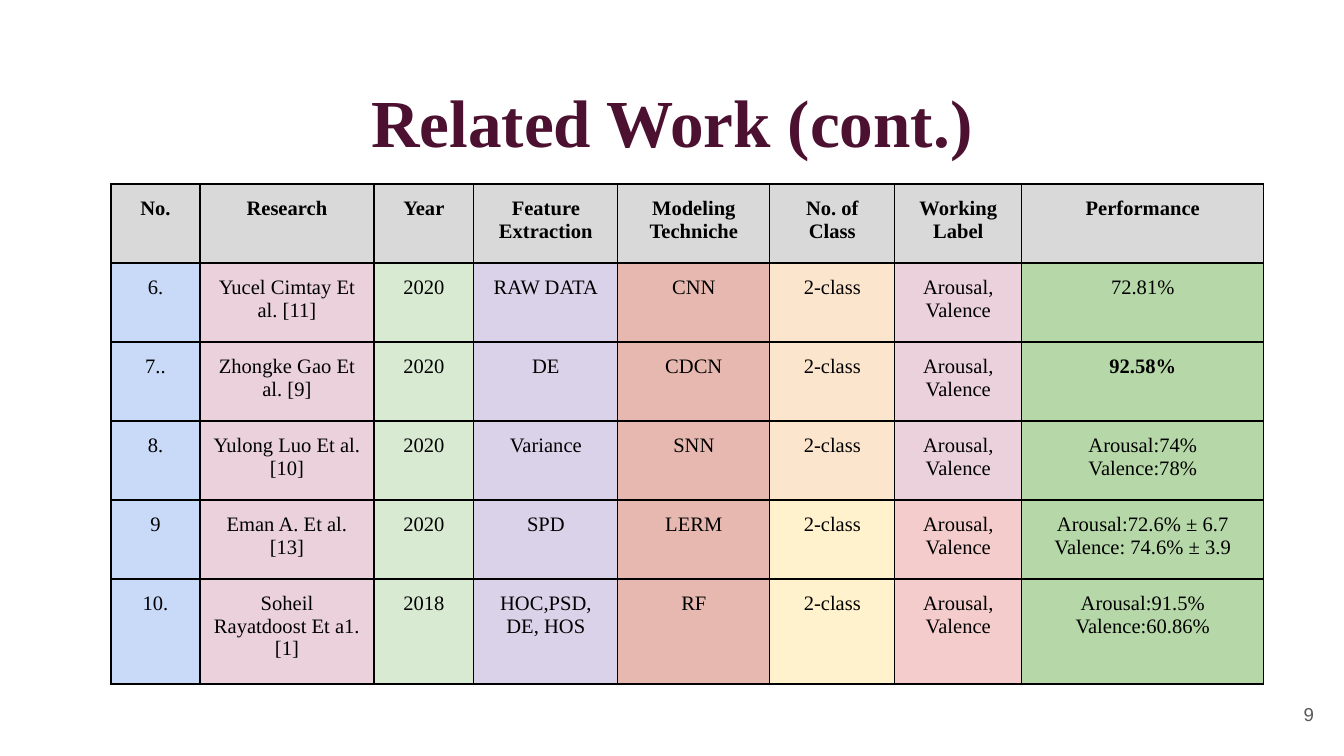
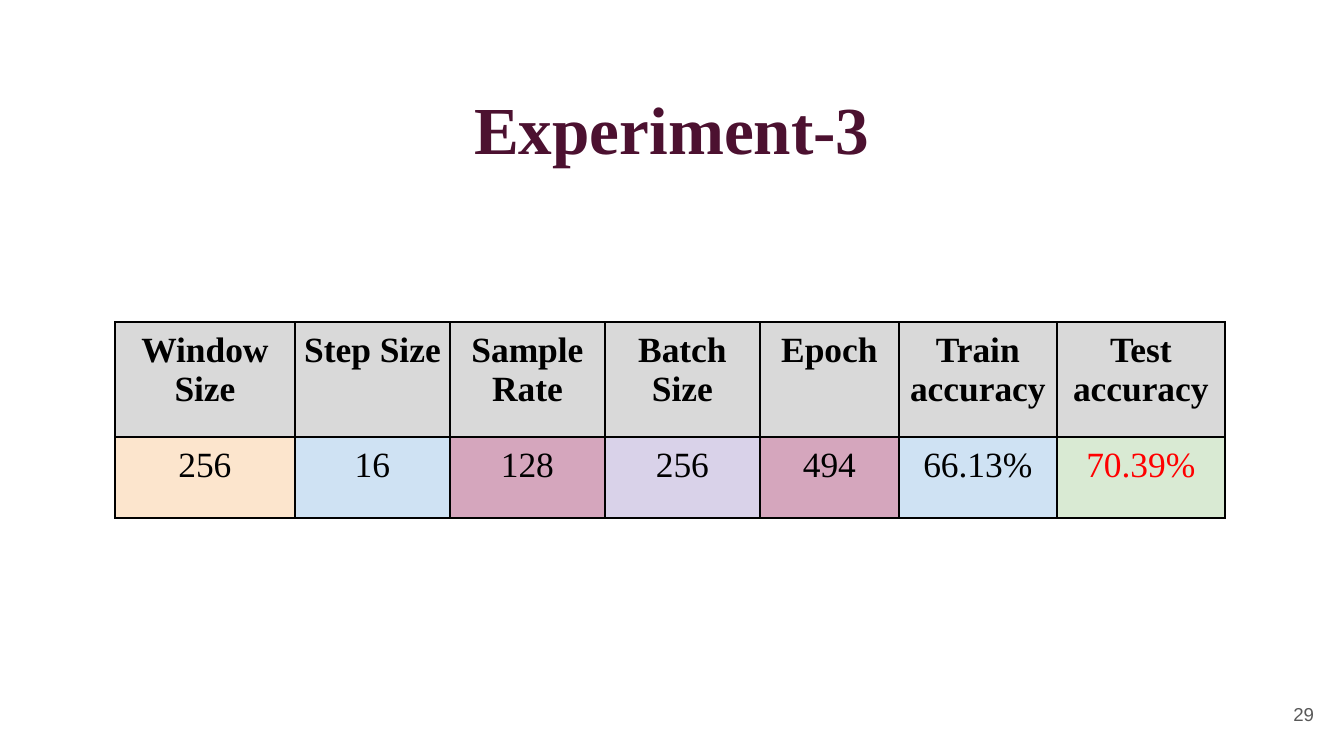
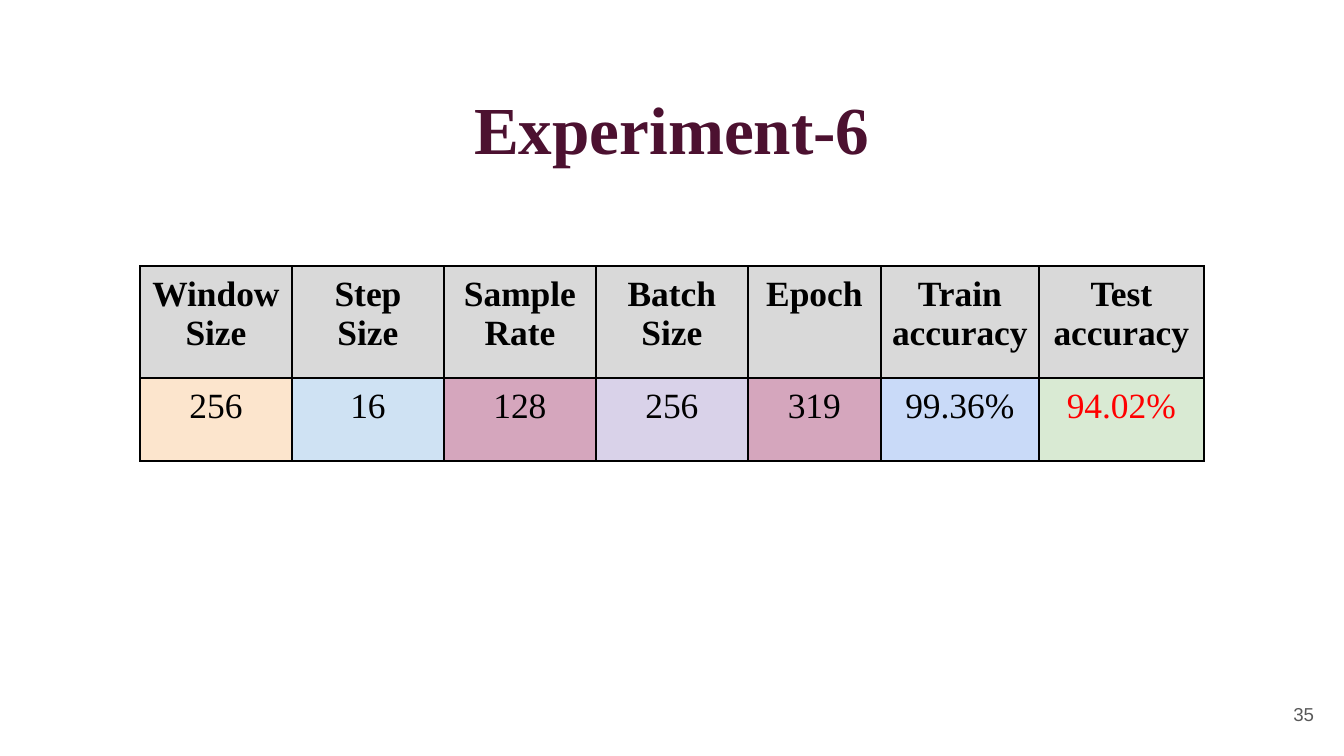
from lxml.etree import SubElement
from pptx import Presentation
from pptx.dml.color import RGBColor
from pptx.enum.text import MSO_ANCHOR as Anchor, MSO_AUTO_SIZE as AutoSize, PP_ALIGN as Align
from pptx.oxml.ns import qn
from pptx.util import Emu, Pt

SLIDE_W, SLIDE_H = 1344, 756
SCALE = 9144000 / SLIDE_W

SERIF, SANS = "Times New Roman", "Arial"
PLUM = RGBColor(0x4C, 0x11, 0x30)
SLATE = RGBColor(0x59, 0x59, 0x59)
BLACK = RGBColor(0x00, 0x00, 0x00)
RED = RGBColor(0xFF, 0x00, 0x00)
GREY = RGBColor(0xD9, 0xD9, 0xD9)
BLUE = RGBColor(0xC9, 0xDA, 0xF8)
SKY = RGBColor(0xCF, 0xE2, 0xF3)
PINK = RGBColor(0xEA, 0xD1, 0xDC)
ROSE = RGBColor(0xF4, 0xCC, 0xCC)
MAUVE = RGBColor(0xD5, 0xA6, 0xBD)
MINT = RGBColor(0xD9, 0xEA, 0xD3)
GREEN = RGBColor(0xB6, 0xD7, 0xA8)
LILAC = RGBColor(0xD9, 0xD2, 0xE9)
CLAY = RGBColor(0xE6, 0xB8, 0xAF)
PEACH = RGBColor(0xFC, 0xE5, 0xCD)
CREAM = RGBColor(0xFF, 0xF2, 0xCC)


def px(length):
    return Emu(round(length * SCALE))


def set_margins(target, side, top=None):
    target.margin_left = target.margin_right = target.margin_bottom = px(side)
    target.margin_top = px(side if top is None else top)


def format_text(frame, size, color, font=SERIF, bold=False, align=Align.CENTER):
    for paragraph in frame.paragraphs:
        paragraph.alignment = align
        for run in paragraph.runs:
            run.font.name = font
            run.font.size = Pt(size)
            run.font.bold = bold
            run.font.color.rgb = color


def add_borders(cell, width):
    properties = cell._tc.get_or_add_tcPr()
    for side in ("a:lnL", "a:lnR", "a:lnT", "a:lnB"):
        line = SubElement(properties, qn(side), w=str(Pt(width)))
        fill = SubElement(line, qn("a:solidFill"))
        SubElement(fill, qn("a:srgbClr"), val=str(BLACK))


class Deck:
    def __init__(self):
        self.prs = Presentation()
        self.prs.slide_width, self.prs.slide_height = px(SLIDE_W), px(SLIDE_H)
        self.slide = None

    def new_slide(self, title, number, title_top=66):
        self.slide = self.prs.slides.add_slide(self.prs.slide_layouts[5])
        self.page_number(number)
        return self.title(title, title_top)

    def title(self, text, top):
        heading = self.slide.shapes.title
        heading.left, heading.top, heading.width, heading.height = map(px, (46, top, 1252, 85))
        frame = heading.text_frame
        frame.text = text
        frame.word_wrap = True
        frame.auto_size = AutoSize.NONE
        frame.vertical_anchor = Anchor.TOP
        set_margins(frame, 13, top=21)
        format_text(frame, 36, PLUM, bold=True)
        return frame.paragraphs[0]

    def page_number(self, number):
        frame = self.slide.shapes.add_textbox(*map(px, (1246, 685, 81, 58))).text_frame
        frame.text = str(number)
        frame.word_wrap = True
        frame.vertical_anchor = Anchor.MIDDLE
        set_margins(frame, 13)
        format_text(frame, 10, SLATE, SANS, align=Align.RIGHT)

    def table(self, left, top, widths, heights, rows, fills, size, margin, border):
        """Add a bordered table; the first row is the bold header."""
        bounds = map(px, (left, top, sum(widths), sum(heights)))
        table = self.slide.shapes.add_table(len(rows), len(widths), *bounds).table
        table.horz_banding = False
        for column, width in zip(table.columns, widths):
            column.width = px(width)
        for r, (row, height) in enumerate(zip(table.rows, heights)):
            row.height = px(height)
            for cell, text, fill in zip(row.cells, rows[r], fills[r]):
                cell.text = text
                set_margins(cell, margin)
                add_borders(cell, border)
                cell.fill.solid()
                cell.fill.fore_color.rgb = fill
                format_text(cell.text_frame, size, BLACK, bold=r == 0)
        return table

    def save(self):
        self.prs.save("out.pptx")


def related_work(deck):
    heading = deck.new_slide("Related Work (cont.)", 9, title_top=47)
    heading.line_spacing = 1.15
    heading.space_after = Pt(12)

    labels = "Arousal,\nValence"
    studies = [
        ("6.", "Yucel Cimtay Et al. [11]", "2020", "RAW DATA", "CNN", "72.81%"),
        ("7..", "Zhongke Gao Et al. [9]", "2020", "DE", "CDCN", "92.58%"),
        ("8.", "Yulong Luo Et al. [10]", "2020", "Variance", "SNN", "Arousal:74%\nValence:78%"),
        ("9", "Eman A. Et al. [13]", "2020", "SPD", "LERM",
         "Arousal:72.6% ± 6.7\nValence: 74.6% ± 3.9"),
        ("10.", "Soheil Rayatdoost Et a1. [1]", "2018", "HOC,PSD, DE, HOS", "RF",
         "Arousal:91.5%\nValence:60.86%"),
    ]
    header = ("No.", "Research", "Year", "Feature Extraction", "Modeling Techniche",
              "No. of Class", "Working Label", "Performance")
    rows = [header] + [(*study[:5], "2-class", labels, study[5]) for study in studies]
    upper = (BLUE, PINK, MINT, LILAC, CLAY, PEACH, PINK, GREEN)
    lower = (*upper[:5], CREAM, ROSE, GREEN)
    fills = [[GREY] * len(header)] + [upper] * 3 + [lower] * 2
    table = deck.table(111, 184, (89, 174, 100, 144, 152, 125, 127, 242), [79] * 5 + [105],
                       rows, fills, size=11, margin=13, border=0.75)
    best_performance = table.cell(2, 7).text_frame
    format_text(best_performance, 11, BLACK, bold=True)


def experiment(deck, name, number, left, top, widths, heights, results, train_fill):
    """Add a slide with one run's settings; results are epoch, train and test accuracy."""
    deck.new_slide(name, number)
    header = ("Window Size", "Step Size", "Sample Rate", "Batch Size", "Epoch",
              "Train accuracy", "Test\naccuracy")
    settings = ("256", "16", "128", "256", *results)
    fills = [[GREY] * len(header), (PEACH, SKY, MAUVE, LILAC, MAUVE, train_fill, MINT)]
    table = deck.table(left, top, widths, heights, [header, settings], fills,
                       size=19, margin=9, border=1)
    test_accuracy = table.cell(1, 6).text_frame
    format_text(test_accuracy, 19, RED)


def main():
    deck = Deck()
    related_work(deck)
    experiment(deck, "Experiment-3", 29, 115, 322, (180, 155, 155, 155, 139, 158, 168),
               (115, 81), ("494", "66.13%", "70.39%"), SKY)
    experiment(deck, "Experiment-6", 35, 140, 266, (152, 152, 152, 152, 133, 158, 165),
               (112, 83), ("319", "99.36%", "94.02%"), BLUE)
    deck.save()


if __name__ == "__main__":
    main()
